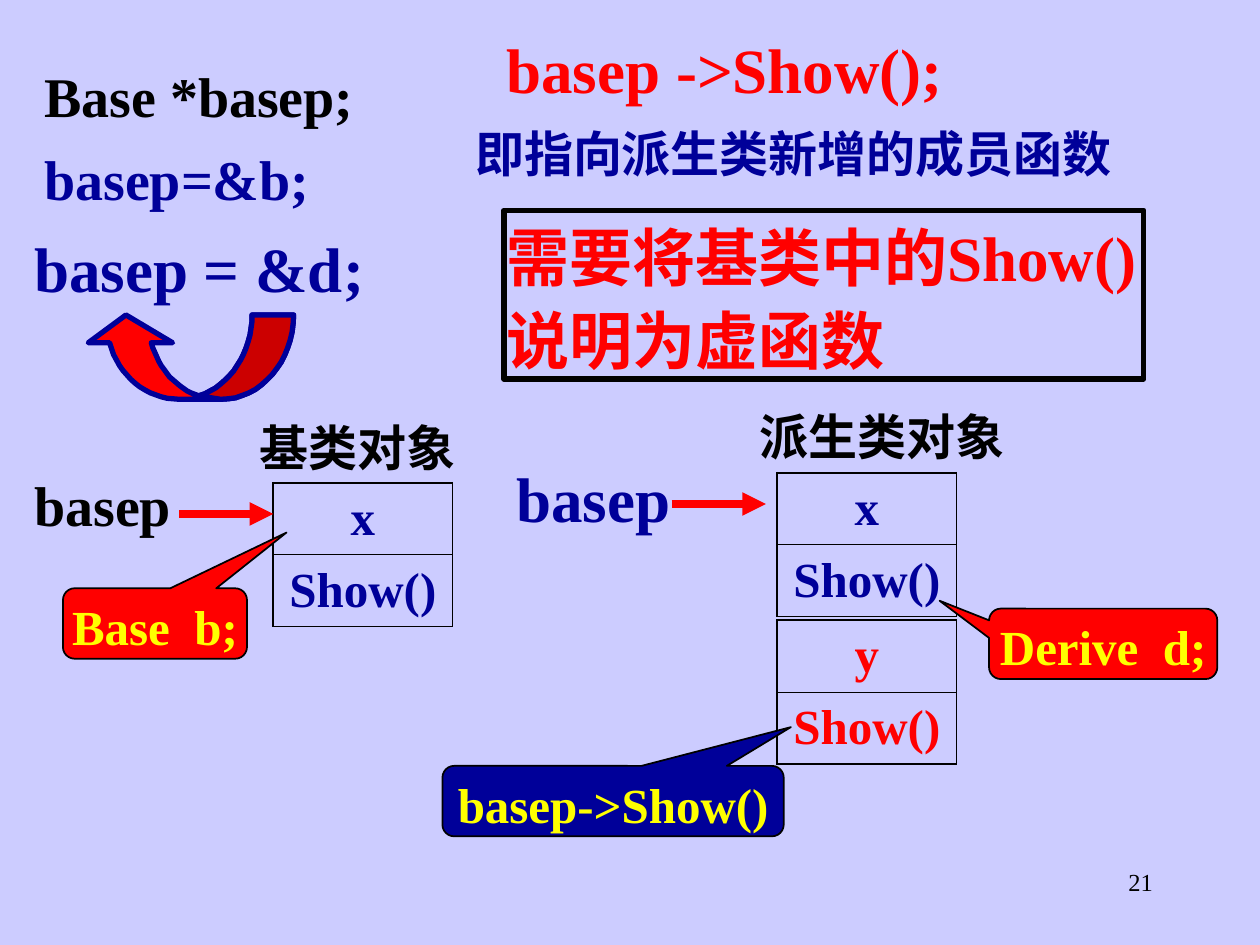
"""Build the slide on base-class pointers and virtual functions."""
from lxml import etree
from pptx import Presentation
from pptx.dml.color import RGBColor
from pptx.enum.shapes import MSO_CONNECTOR, MSO_SHAPE
from pptx.enum.text import MSO_ANCHOR as ANCHOR, PP_ALIGN as ALIGN
from pptx.oxml import parse_xml
from pptx.oxml.ns import nsdecls, qn
from pptx.util import Cm, Pt

BLACK, RED, DARK_RED, NAVY, YELLOW = "000000", "FF0000", "CC0000", "000099", "FFFF00"


def color(hex_value):
    return RGBColor.from_string(hex_value)


def write(frame, text, size, hex_value, align=ALIGN.LEFT, bold=True, spacing=1.1):
    frame.text = text
    paragraph = frame.paragraphs[0]
    paragraph.alignment = align
    paragraph.line_spacing = spacing
    font = paragraph.runs[0].font
    font.name, font.size, font.bold = "Times New Roman", Pt(size), bold
    font.color.rgb = color(hex_value)


prs = Presentation()
prs.slide_width, prs.slide_height = Cm(25.4), Cm(19.05)
slide = prs.slides.add_slide(prs.slide_layouts[6])
slide.background.fill.solid()
slide.background.fill.fore_color.rgb = color("CCCCFF")
shapes = slide.shapes

page_number = shapes.add_textbox(Cm(18.21), Cm(17.35), Cm(5.28), Cm(1.27)).text_frame
page_number.word_wrap = True
write(page_number, "21", 14, BLACK, ALIGN.RIGHT, bold=False, spacing=1.0)

callouts = [
    ("Base  b;", 1.27, 11.86, 3.71, RED, (0.715, -1.292)),
    ("Derive  d;", 19.94, 12.27, 4.6, RED, (-0.717, -0.612)),
    ("basep->Show()", 8.92, 15.44, 6.88, NAVY, (0.521, -1.05)),
]
tables = [
    ("x", 5.51, 9.73, NAVY),
    ("x", 15.67, 9.53, NAVY),
    ("y", 15.67, 12.5, RED),
]
for member, left, top, ink in tables:
    members = shapes.add_table(2, 1, Cm(left), Cm(top), Cm(3.61), Cm(2.9)).table
    members.first_row = members.horz_banding = False
    for row, text in enumerate((member, "Show()")):
        cell = members.cell(row, 0)
        cell.vertical_anchor = ANCHOR.MIDDLE
        write(cell.text_frame, text, 28, ink, ALIGN.CENTER, spacing=1.0)
        outer, inner = 13716, 5715
        widths = {"lnL": outer, "lnR": outer,
                  "lnT": inner if row else outer, "lnB": outer if row else inner}
        for side, width in widths.items():
            cell._tc.get_or_add_tcPr().append(parse_xml(
                f'<a:{side} {nsdecls("a")} w="{width}"><a:solidFill>'
                f'<a:srgbClr val="{BLACK}"/></a:solidFill></a:{side}>'))
        cell.fill.background()

for text, left, top, width, fill, tip in callouts:
    callout = shapes.add_shape(MSO_SHAPE.ROUNDED_RECTANGULAR_CALLOUT,
                               Cm(left), Cm(top), Cm(width), Cm(1.42))
    callout.shadow.inherit = False
    callout.adjustments[0], callout.adjustments[1] = tip
    callout.fill.solid()
    callout.fill.fore_color.rgb = color(fill)
    callout.line.color.rgb = color(BLACK)
    callout.line.width = Pt(1)
    frame = callout.text_frame
    frame.margin_left = frame.margin_right = Cm(0.05)
    frame.margin_top = frame.margin_bottom = 0
    frame.word_wrap = False
    frame.vertical_anchor = ANCHOR.BOTTOM
    write(frame, text, 28, YELLOW, ALIGN.CENTER)

for left, right, height in ((3.61, 5.51, 10.36), (13.54, 15.44, 10.16)):
    pointer = shapes.add_connector(MSO_CONNECTOR.STRAIGHT,
                                   Cm(left), Cm(height), Cm(right), Cm(height))
    pointer.line.color.rgb = color(RED)
    pointer.line.width = Pt(4.5)
    etree.SubElement(pointer.line._get_or_add_ln(), qn("a:tailEnd"), type="triangle")
    etree.SubElement(pointer._element.spPr, qn("a:effectLst"))

inner_edge = [(401, 798), (465, 777), (508, 711), (508, 635)]
turn_arrow = [
    (RED, [[(592, 635), (592, 729), (526, 805), (445, 805)],
           [(361, 805), (295, 805), (239, 757), (221, 691)],
           [(178, 691)], [(254, 635)], [(348, 691)],
           [(305, 691), (320, 744), (358, 785), (401, 798)],
           inner_edge]),
    (DARK_RED, [[(592, 635), (592, 729), (526, 805), (445, 805)], inner_edge]),
]
for fill, segments in turn_arrow:
    outline = []
    for segment in segments:
        if len(segment) == 1:
            outline += segment
            continue
        for step in range(17):
            t = step / 16
            weights = ((1 - t) ** 3, 3 * t * (1 - t) ** 2, 3 * t * t * (1 - t), t ** 3)
            outline.append(tuple(sum(w * point[axis] for w, point in zip(weights, segment))
                                 for axis in (0, 1)))
    builder = shapes.build_freeform(*outline[0], scale=Cm(0.01))
    builder.add_line_segments(outline[1:], close=True)
    arrow_part = builder.convert_to_shape()
    arrow_part.shadow.inherit = False
    arrow_part.fill.solid()
    arrow_part.fill.fore_color.rgb = color(fill)
    arrow_part.line.color.rgb = color(NAVY)
    arrow_part.line.width = Pt(3)

conclusion = "需要将基类中的Show()说明为虚函数"
statements = [
    ("基类对象", 5.08, 8.26, 4.24, 1.37, 28, BLACK, ALIGN.CENTER),
    ("派生类对象", 15.24, 8.05, 5.08, 1.37, 28, BLACK, ALIGN.CENTER),
    ("basep", 0.64, 9.32, 3.18, 1.55, 32, BLACK, ALIGN.LEFT),
    ("basep", 10.36, 9.09, 3.6, 1.73, 36, NAVY, ALIGN.LEFT),
    ("Base *basep;", 0.84, 1.07, 7.62, 1.55, 32, BLACK, ALIGN.LEFT),
    ("basep=&b;", 0.84, 2.74, 7.62, 1.55, 32, NAVY, ALIGN.LEFT),
    ("basep = &d;", 0.64, 4.45, 6.78, 1.73, 36, NAVY, ALIGN.LEFT),
    ("basep ->Show();", 10.16, 0.43, 11.43, 1.73, 36, RED, ALIGN.LEFT),
    ("即指向派生类新增的成员函数", 9.53, 2.34, 14.4, 1.37, 28, NAVY, ALIGN.LEFT),
    (conclusion, 10.16, 4.24, 12.9, 3.4, 36, RED, ALIGN.LEFT),
]
for text, left, top, width, height, size, ink, align in statements:
    area = Cm(left), Cm(top), Cm(width), Cm(height)
    if text == conclusion:
        statement = shapes.add_shape(MSO_SHAPE.RECTANGLE, *area)
        statement.shadow.inherit = False
        statement.fill.background()
        statement.line.color.rgb = color(BLACK)
        statement.line.width = Pt(3)
    else:
        statement = shapes.add_textbox(*area)
    frame = statement.text_frame
    frame.margin_left = frame.margin_right = Cm(0.05)
    frame.margin_top = frame.margin_bottom = Cm(0.03)
    frame.word_wrap = True
    frame.vertical_anchor = ANCHOR.BOTTOM
    write(frame, text, size, ink, align)

prs.save("out.pptx")
